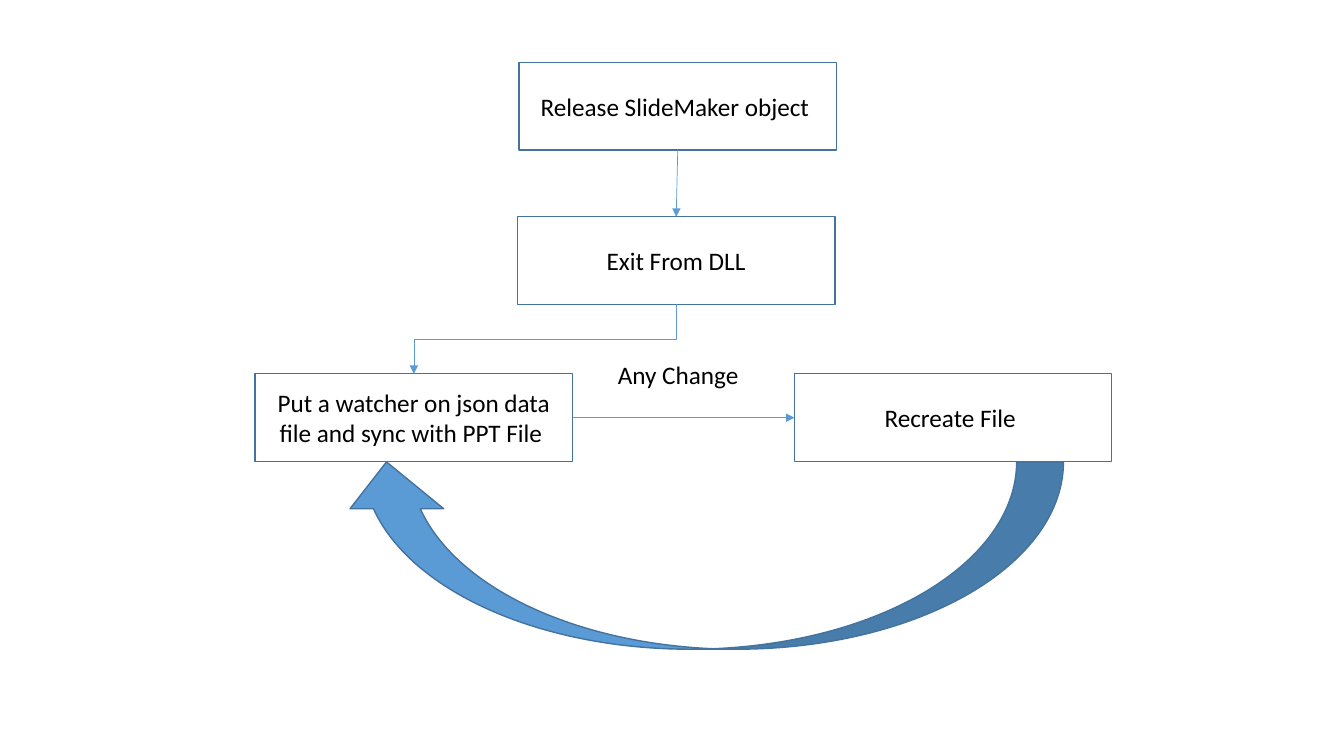
from pptx import Presentation
from pptx.dml.color import RGBColor
from pptx.enum import shapes, text
from pptx.oxml.ns import qn
from pptx.util import Cm, Pt
from lxml import etree

COLORS = {"box": "FFFFFF", "outline": "43739E", "accent": "5B9BD5", "text": "000000"}
RGB = {name: RGBColor.from_string(value) for name, value in COLORS.items()}
FONT = {"name": "Calibri", "size": Pt(18)}
BOX_W, BOX_H = Cm(8), Cm(2.21)


def style_shape(sp, fill):
    sp.shadow.inherit = False
    sp.fill.solid()
    sp.fill.fore_color.rgb = RGB[fill]
    sp.line.color.rgb = RGB["outline"]
    sp.line.width = Pt(1)


def write_text(sp, words, align):
    sp.text_frame.word_wrap = True
    p = sp.text_frame.paragraphs[0]
    p.alignment = align
    r = p.add_run()
    r.text = words
    for key, value in FONT.items():
        setattr(r.font, key, value)
    r.font.color.rgb = RGB["text"]


prs = Presentation()
prs.slide_width, prs.slide_height = Cm(33.87), Cm(19.05)
s = prs.slides.add_slide(prs.slide_layouts[6])

steps = {
    "release": ("Release SlideMaker object ", 13.08, 1.57),
    "exit": ("Exit From DLL", 13.04, 5.46),
    "watch": ("Put a watcher on json data file and sync with PPT File ", 6.43, 9.42),
    "recreate": ("Recreate File ", 20.02, 9.42),
}
boxes = {}
for name, (words, left, top) in steps.items():
    sp = s.shapes.add_shape(shapes.MSO_SHAPE.RECTANGLE, Cm(left), Cm(top), BOX_W, BOX_H)
    style_shape(sp, "box")
    sp.text_frame.vertical_anchor = text.MSO_ANCHOR.MIDDLE
    write_text(sp, words, text.PP_ALIGN.CENTER)
    boxes[name] = sp

STRAIGHT, ELBOW = shapes.MSO_CONNECTOR.STRAIGHT, shapes.MSO_CONNECTOR.ELBOW
TOP, LEFT, BOTTOM, RIGHT = range(4)
links = [
    (STRAIGHT, "watch", RIGHT, "recreate", LEFT),
    (ELBOW, "exit", BOTTOM, "watch", TOP),
    (STRAIGHT, "release", BOTTOM, "exit", TOP),
]
for kind, source, source_side, target, target_side in links:
    link = s.shapes.add_connector(kind, 0, 0, 0, 0)
    link.begin_connect(boxes[source], source_side)
    link.end_connect(boxes[target], target_side)
    link.line.color.rgb = RGB["accent"]
    link.line.width = Pt(0.5)
    spPr = link._element.spPr
    etree.SubElement(spPr.find(qn("a:ln")), qn("a:tailEnd"), type="triangle")
    etree.SubElement(spPr, qn("a:effectLst"))
    if kind == ELBOW:
        across, down = link.width, link.height
        link.left += (across - down) // 2
        link.top += (down - across) // 2
        link.width, link.height = down, across
        spPr.xfrm.flipH = False
        spPr.xfrm.set("rot", str(90 * 60000))

label = s.shapes.add_textbox(Cm(15.32), Cm(8.92), Cm(3.58), Cm(1.02))
label.text_frame.auto_size = text.MSO_AUTO_SIZE.SHAPE_TO_FIT_TEXT
write_text(label, "Any Change", text.PP_ALIGN.LEFT)

loop = s.shapes.add_shape(
    shapes.MSO_SHAPE.CURVED_LEFT_ARROW, Cm(15.32), Cm(4.88), Cm(4.72), Cm(18.24)
)
loop.rotation = 90
style_shape(loop, "accent")

prs.save("out.pptx")
